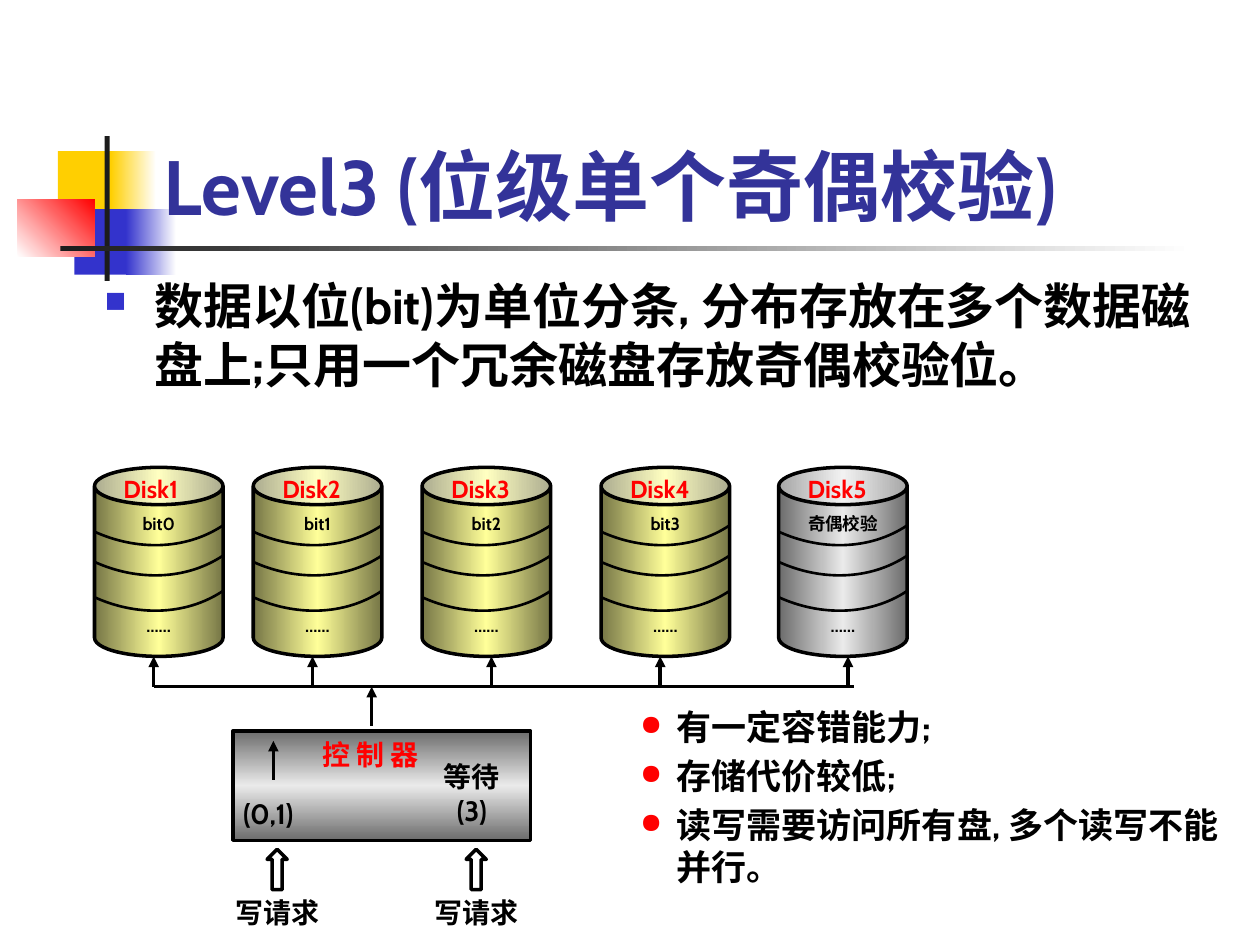
from lxml import etree
from pptx import Presentation
from pptx.dml.color import RGBColor
from pptx.enum import shapes, text
from pptx.oxml import ns
from pptx.util import Inches, Pt

FONT = "Cabin"
BLACK, RED, WHITE = "000000", "FF0000", "FFFFFF"
YELLOW, GRAY = "FFFF99", "EAEAEA"
LEFT, CENTER = text.PP_ALIGN.LEFT, text.PP_ALIGN.CENTER
DISK_TOP, DISK_WIDTH, DISK_HEIGHT = 3.71, 1.02, 1.5
BUS_Y = 5.45


def color(value):
    return RGBColor.from_string(value)


def child(parent, tag, **attributes):
    return etree.SubElement(parent, ns.qn(tag), attributes)


def set_gradient(shape, stops, angle):
    """Fill with (position, colour, shaded) stops along a linear angle."""
    shape.fill.gradient()
    gradient = shape._element.spPr.find(ns.qn("a:gradFill"))
    for old in list(gradient):
        gradient.remove(old)
    stop_list = child(gradient, "a:gsLst")
    for position, value, shaded in stops:
        stop = child(stop_list, "a:gs", pos=str(position * 1000))
        rgb = child(stop, "a:srgbClr", val=value)
        if shaded:
            child(rgb, "a:gamma")
            child(rgb, "a:shade", val="46275")
            child(rgb, "a:invGamma")
    child(gradient, "a:lin", ang=str(angle * 60000), scaled="0")


def fade(start, end):
    return [(0, start, False), (100, end, False)]


def sheen(value):
    return [(0, value, True), (50, value, False), (100, value, True)]


def add_shape(slide, kind, box, fill=None, gradient=None, angle=0, line=None):
    shape = slide.shapes.add_shape(kind, *map(Inches, box))
    shape.shadow.inherit = False
    if gradient:
        set_gradient(shape, gradient, angle)
    elif fill:
        shape.fill.solid()
        shape.fill.fore_color.rgb = color(fill)
    else:
        shape.fill.background()
    if line:
        shape.line.color.rgb = color(line)
        shape.line.width = Pt(2)
    else:
        shape.line.fill.background()
    return shape


def add_bullet(paragraph, character, value, indent, size):
    properties = paragraph._p.get_or_add_pPr()
    properties.set("marL", str(Inches(indent)))
    properties.set("indent", str(-Inches(indent)))
    child(child(properties, "a:buClr"), "a:srgbClr", val=value)
    child(properties, "a:buSzPct", val=str(size * 1000))
    child(properties, "a:buChar", char=character)


def write(paragraph, words, size, value=BLACK, align=LEFT):
    paragraph.alignment = align
    run = paragraph.add_run()
    run.text = words
    run.font.name = FONT
    run.font.size = Pt(size)
    run.font.bold = True
    run.font.color.rgb = color(value)


def set_margins(frame, left, top, right, bottom):
    frame.margin_left, frame.margin_top = Inches(left), Inches(top)
    frame.margin_right, frame.margin_bottom = Inches(right), Inches(bottom)


def add_text(slide, box, lines, size, value=BLACK, align=LEFT, bullet=None,
             gap=0, anchor=text.MSO_ANCHOR.TOP):
    frame = slide.shapes.add_textbox(*map(Inches, box)).text_frame
    frame.word_wrap = True
    frame.vertical_anchor = anchor
    set_margins(frame, 0, 0, 0, 0)
    for index, words in enumerate(lines):
        paragraph = frame.add_paragraph() if index else frame.paragraphs[0]
        if bullet:
            add_bullet(paragraph, *bullet)
        if index and gap:
            paragraph.space_before = Pt(gap)
        write(paragraph, words, size, value, align)


def add_line(slide, start, end, arrow=True):
    """Draw a line; an arrow has its head at the start."""
    line = slide.shapes.add_connector(
        shapes.MSO_CONNECTOR.STRAIGHT, *map(Inches, start + end))
    line.line.color.rgb = color(BLACK)
    line.line.width = Pt(2)
    if arrow:
        child(line.line._get_or_add_ln(), "a:headEnd", type="triangle")
    child(line._element.spPr, "a:effectLst")


def add_curve(slide, points):
    """Draw one cubic curve from its start, two control points and end."""
    start, *rest = [(Inches(x), Inches(y)) for x, y in points]
    builder = slide.shapes.build_freeform(*start)
    builder.add_line_segments(rest, close=False)
    curve = builder.convert_to_shape()
    curve.shadow.inherit = False
    curve.fill.background()
    curve.line.color.rgb = color(BLACK)
    curve.line.width = Pt(1.5)
    outline = curve._element.spPr.find(".//" + ns.qn("a:path"))
    segments = outline.findall(ns.qn("a:lnTo"))
    bezier = child(outline, "a:cubicBezTo")
    for segment in segments:
        bezier.append(segment[0])
        outline.remove(segment)


def add_disk(slide, left, name, content, value):
    can = add_shape(slide, shapes.MSO_SHAPE.CAN,
                    (left, DISK_TOP, DISK_WIDTH, DISK_HEIGHT),
                    gradient=sheen(value), line=BLACK)
    can.adjustments[0] = 0.29
    frame = can.text_frame
    frame.word_wrap = False
    frame.vertical_anchor = text.MSO_ANCHOR.MIDDLE
    set_margins(frame, 0.1, 0, 0.1, 0.05)
    first, last = frame.paragraphs[0], frame.add_paragraph()
    for paragraph, words in ((first, content), (last, "……")):
        paragraph.line_spacing = 1.6
        write(paragraph, words, 10, align=CENTER)
    last.space_before = Pt(39)
    add_text(slide, (left + 0.23, 3.76, 0.55, 0.23), [name], 14, RED)
    for y in (4.17, 4.41, 4.69):
        add_curve(slide, [(left + DISK_WIDTH, y), (left + 0.72, y + 0.2),
                          (left + 0.33, y + 0.2), (left, y + 0.05)])


def add_decoration(slide):
    rectangle = shapes.MSO_SHAPE.RECTANGLE
    add_shape(slide, rectangle, (0.46, 1.2, 0.48, 0.52), "FFCF01")
    add_shape(slide, rectangle, (0.88, 1.2, 0.36, 0.52),
              gradient=fade("FFCF01", WHITE))
    add_shape(slide, rectangle, (0.59, 1.66, 0.46, 0.52), "3333CC")
    add_shape(slide, rectangle, (1, 1.66, 0.4, 0.52),
              gradient=fade("3333CC", WHITE))
    add_shape(slide, rectangle, (0.14, 1.58, 0.61, 0.46),
              gradient=fade(WHITE, RED), angle=315)
    add_shape(slide, rectangle, (0.83, 1.08, 0.04, 1.15), "1C1C1C")
    add_shape(slide, rectangle, (0.48, 1.95, 9, 0.04),
              gradient=fade("1C1C1C", WHITE))


def add_controller(slide):
    add_shape(slide, shapes.MSO_SHAPE.RECTANGLE, (1.85, 5.8, 2.36, 0.87),
              gradient=sheen(GRAY), angle=90, line=BLACK)
    add_text(slide, (2.56, 5.85, 0.87, 0.27), ["控 制 器"], 16, RED)
    add_line(slide, (2.17, 5.88), (2.17, 6.19))
    add_text(slide, (1.93, 6.32, 0.63, 0.27), ["(0,1)"], 16)
    add_text(slide, (3.43, 6.03, 0.63, 0.53), ["等待", "(3)"], 16,
             align=CENTER)
    for offset in (0, 1.58):
        add_shape(slide, shapes.MSO_SHAPE.UP_ARROW,
                  (2.12 + offset, 6.74, 0.16, 0.32), line=BLACK)
        add_text(slide, (1.85 + offset, 7.11, 0.71, 0.27), ["写请求"], 16,
                 align=CENTER)


def main():
    presentation = Presentation()
    presentation.slide_width = Inches(10)
    presentation.slide_height = Inches(7.5)
    slide = presentation.slides.add_slide(presentation.slide_layouts[6])

    add_decoration(slide)
    add_text(slide, (1.3, 1.1, 7.64, 0.73), ["Level3 (位级单个奇偶校验)"], 44,
             "333399", anchor=text.MSO_ANCHOR.BOTTOM)
    add_text(slide, (0.83, 2.19, 8.82, 0.93),
             ["数据以位(bit)为单位分条, 分布存放在多个数据磁盘上;"
              "只用一个冗余磁盘存放奇偶校验位。"],
             28, bullet=("■", "3333CC", 0.4, 60))

    disks = [(0.75, "bit0", YELLOW), (2.01, "bit1", YELLOW),
             (3.35, "bit2", YELLOW), (4.77, "bit3", YELLOW),
             (6.18, "奇偶校验", GRAY)]
    for number, (left, content, value) in enumerate(disks, 1):
        add_disk(slide, left, f"Disk{number}", content, value)
    for x in (1.22, 2.48, 3.9, 5.24, 6.73):
        add_line(slide, (x, 5.21), (x, BUS_Y))
    add_line(slide, (1.22, BUS_Y), (6.78, BUS_Y), arrow=False)
    add_line(slide, (2.95, BUS_Y), (2.95, 5.76))

    add_controller(slide)
    add_text(slide, (5.08, 5.6, 4.73, 1.47),
             ["有一定容错能力;", "存储代价较低;",
              "读写需要访问所有盘, 多个读写不能并行。"],
             20, bullet=("●", RED, 0.29, 80), gap=4)
    presentation.save("out.pptx")


if __name__ == "__main__":
    main()
